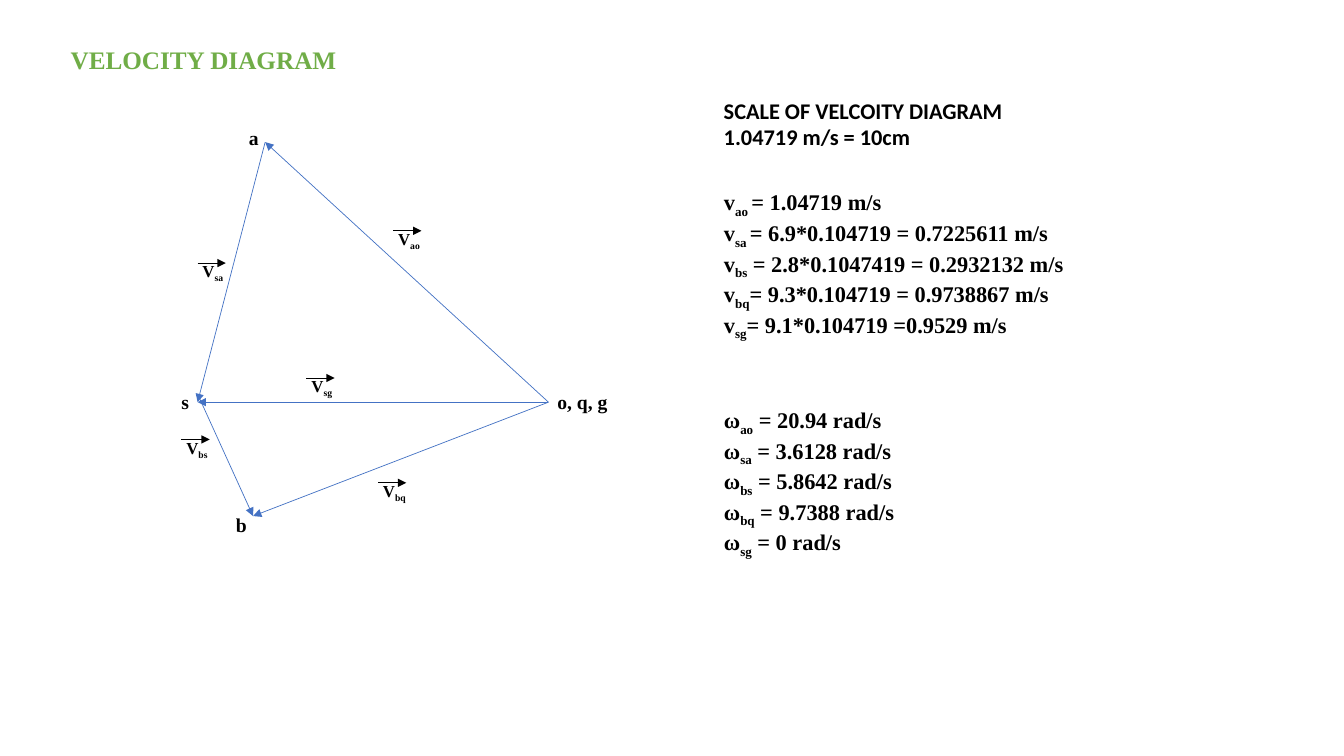
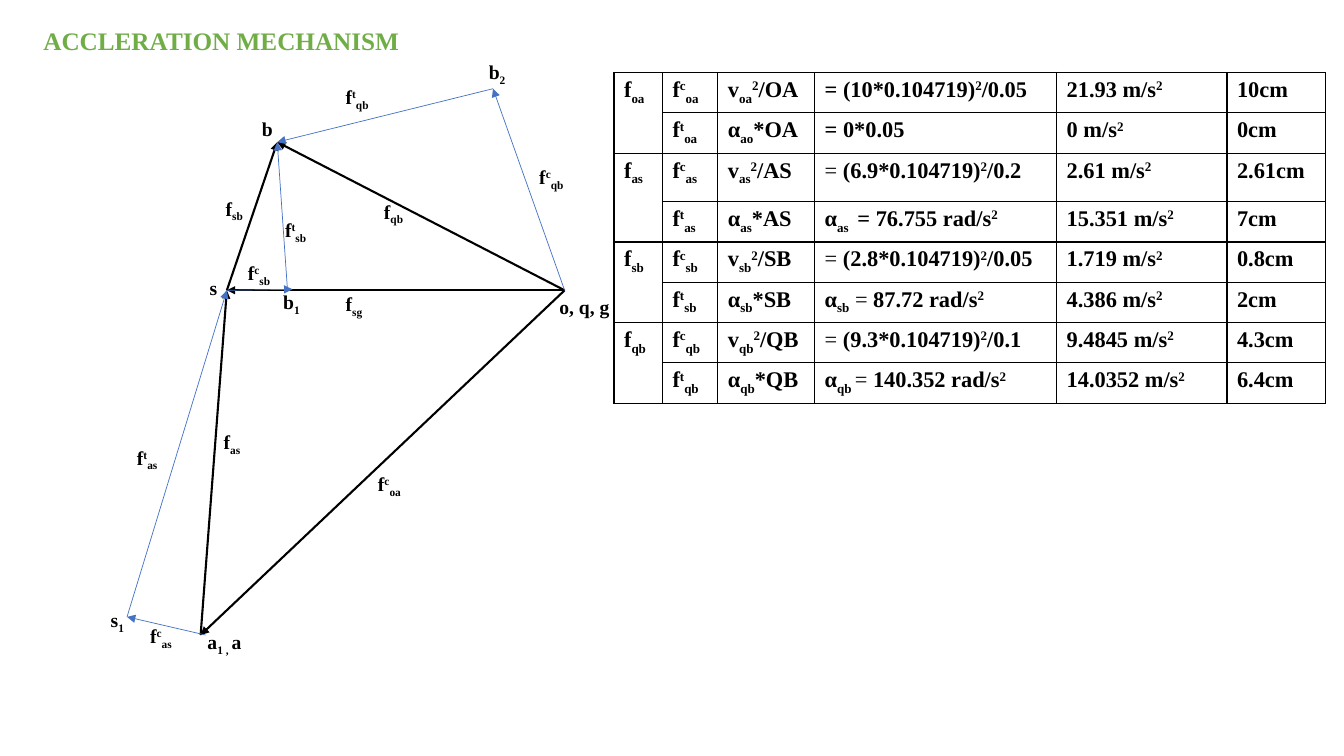
from dataclasses import dataclass

import pptx
import pptx.dml.color
import pptx.enum.shapes
import pptx.enum.text
import pptx.oxml
import pptx.oxml.ns
import pptx.util
from lxml import etree

Inches, Pt = pptx.util.Inches, pptx.util.Pt
qn = pptx.oxml.ns.qn


@dataclass(frozen=True)
class Theme:
    serif: str = "Times New Roman"
    sans: str = "Calibri"
    green: str = "70AD47"
    blue: str = "4472C4"
    black: str = "000000"
    title_size: int = 18
    body_size: int = 16
    point_size: int = 14
    vector_size: int = 12
    thin: float = 0.5
    border: float = 1
    thick: float = 1.5


THEME = Theme()

# Text markup: _{subscript}, ^{superscript}, ~{regular weight}
SCALE = ["SCALE OF VELCOITY DIAGRAM", "1.04719 m/s = 10cm"]
VELOCITIES = [
    "v_{ao }= 1.04719 m/s",
    "v_{sa }= 6.9*0.104719 = 0.7225611 m/s",
    "v_{bs} = 2.8*0.1047419 = 0.2932132 m/s",
    "v_{bq}= 9.3*0.104719 = 0.9738867 m/s",
    "v_{sg}= 9.1*0.104719 =0.9529 m/s",
]
ANGULAR_RATES = [
    "ω_{ao} = 20.94 rad/s",
    "ω_{sa} = 3.6128 rad/s",
    "ω_{bs} = 5.8642 rad/s",
    "ω_{bq} = 9.7388 rad/s",
    "ω_{sg} = 0 rad/s",
]

VELOCITY_POINTS = {
    "o": (5.44, 3.99), "a": (2.63, 1.41), "s": (1.96, 3.99),
    "s upper": (1.96, 3.91), "b": (2.51, 5.12),
}
VELOCITY_LINES = [("o", "a"), ("a", "s"), ("o", "s"), ("s upper", "b"), ("o", "b")]
VELOCITY_POINT_LABELS = [
    ("o, q, g", 5.43, 3.82), ("a", 2.37, 1.2), ("s", 1.7, 3.82), ("b", 2.24, 5.04),
]
VECTOR_LABELS = [
    ("V_{ao}", 3.85, 2.22), ("V_{sa}", 1.91, 2.54), ("V_{sg}", 2.99, 3.68),
    ("V_{bs}", 1.75, 4.29), ("V_{bq}", 3.7, 4.72),
]
OVERBAR_OFFSET, OVERBAR_LENGTH = (0.05, 0.07), 0.28

ACCELERATION_POINTS = {
    "o": (5.6, 2.88), "a": (1.99, 6.3), "a1": (2.04, 6.3), "s1": (1.26, 6.12),
    "s": (2.25, 2.88), "b": (2.75, 1.41), "b1": (2.85, 2.86),
    "b1 tip": (2.9, 2.87), "b2": (4.89, 0.88),
}
COMPONENT_LINES = [
    ("a1", "s1"), ("s1", "s"), ("o", "b2"), ("b2", "b"), ("b1", "b"), ("s", "b1 tip"),
]
RESULTANT_LINES = [("o", "a"), ("o", "s"), ("a", "s"), ("o", "b"), ("s", "b")]
ACCELERATION_LABELS = [
    ("f^{c}_{oa}", 3.65, 4.63), ("f^{c}_{as}", 1.39, 6.14), ("f_{as}", 2.12, 4.22),
    ("f^{t}_{as}", 1.26, 4.37), ("f_{sg}", 3.33, 2.85), ("f^{c}_{qb}", 5.25, 1.59),
    ("f^{t}_{qb}", 3.33, 0.79), ("f_{qb}", 3.71, 1.93), ("f^{t}_{sb}", 2.73, 2.11),
    ("f^{c}_{sb}", 2.36, 2.54), ("f_{sb}", 2.14, 1.9), ("o, q, g", 5.45, 2.88),
    ("a_{1 , }a", 1.96, 6.2), ("s_{1}", 1, 5.98), ("b", 2.5, 1.11),
    ("b_{2}", 4.75, 0.55), ("s", 1.98, 2.69), ("b_{1}", 2.71, 2.83),
]

# Link, subscript of its α, then radial and tangential (working, value, length)
LINKS = [
    ("oa", "ao", ("= (10*0.104719)^{2}/0.05", "21.93", "10cm"),
     ("= 0*0.05", "0", "0cm")),
    ("as", "as", ("~{= }(6.9*0.104719)^{2}/0.2", "2.61", "2.61cm"),
     ("α_{as } = 76.755 rad/s^{2}", "15.351", "7cm")),
    ("sb", "sb", ("~{= }(2.8*0.104719)^{2}/0.05", "1.719", "0.8cm"),
     ("α_{sb} ~{= }87.72 rad/s^{2}", "4.386", "2cm")),
    ("qb", "qb", ("~{=} (9.3*0.104719)^{2}/0.1", "9.4845", "4.3cm"),
     ("α_{qb }~{= }140.352 rad/s^{2}", "14.0352", "6.4cm")),
]
COLUMN_WIDTHS = [0.48, 0.55, 0.96, 2.4, 1.69, 0.98]
ROW_HEIGHTS = [0.4, 0.4, 0.48] + [0.4] * 5


def rgb(color):
    return pptx.dml.color.RGBColor.from_string(color)


def add_runs(paragraph, markup):
    for chunk in markup.split("}"):
        plain, brace, marked = chunk.partition("{")
        mark = plain[-1] if brace else ""
        plain = plain[:-1] if brace else plain
        if plain:
            paragraph.add_run().text = plain
        if not marked:
            continue
        run = paragraph.add_run()
        run.text = marked
        if mark == "~":
            run.font.bold = False
        else:
            baseline = {"_": "-25000", "^": "30000"}[mark]
            run._r.get_or_add_rPr().set("baseline", baseline)


def write(frame, lines, size, color=THEME.black, font=THEME.serif, plain_list=False):
    """Fill a text frame with bold marked-up lines, left aligned."""
    for index, line in enumerate(lines):
        paragraph = frame.paragraphs[0] if index == 0 else frame.add_paragraph()
        if plain_list:
            properties = paragraph._p.get_or_add_pPr()
            properties.set("marL", "0")
            properties.set("indent", "0")
            etree.SubElement(properties, qn("a:buNone"))
            paragraph.space_before = Pt(0)
        paragraph.alignment = pptx.enum.text.PP_ALIGN.LEFT
        paragraph.font.name = font
        paragraph.font.size = Pt(size)
        paragraph.font.bold = True
        paragraph.font.color.rgb = rgb(color)
        add_runs(paragraph, line)


def place(shape, left, top, width, height):
    shape.left, shape.top = Inches(left), Inches(top)
    shape.width, shape.height = Inches(width), Inches(height)
    frame = shape.text_frame
    frame.word_wrap = True
    frame.auto_size = pptx.enum.text.MSO_AUTO_SIZE.NONE
    frame.vertical_anchor = pptx.enum.text.MSO_ANCHOR.TOP
    return frame


def add_slide(presentation, layout, title, left, top):
    slide = presentation.slides.add_slide(presentation.slide_layouts[layout])
    frame = place(slide.shapes.title, left, top, 4.05, 0.4)
    write(frame, [title], THEME.title_size, THEME.green)
    return slide


def add_text(slide, lines, left, top, size, width=0.9, height=0.34, font=THEME.serif):
    shape = slide.shapes.add_textbox(0, 0, 0, 0)
    write(place(shape, left, top, width, height), lines, size, font=font)


def add_arrow(slide, start, end, color, weight):
    connector = slide.shapes.add_connector(
        pptx.enum.shapes.MSO_CONNECTOR.STRAIGHT,
        *(Inches(value) for value in (*start, *end)))
    connector.line.color.rgb = rgb(color)
    connector.line.width = Pt(weight)
    properties = connector._element.spPr
    etree.SubElement(properties.find(qn("a:ln")), qn("a:tailEnd"), type="triangle")
    etree.SubElement(properties, qn("a:effectLst"))


def add_vectors(slide, points, pairs, color, weight):
    for start, end in pairs:
        add_arrow(slide, points[start], points[end], color, weight)


def add_borders(cell):
    properties = cell._tc.get_or_add_tcPr()
    for index, side in enumerate(("a:lnL", "a:lnR", "a:lnT", "a:lnB")):
        line = etree.Element(qn(side), w=str(Pt(THEME.border)))
        fill = etree.SubElement(line, qn("a:solidFill"))
        etree.SubElement(fill, qn("a:srgbClr"), val=THEME.black)
        properties.insert(index, line)


def acceleration_rows():
    for link, alpha, radial, tangential in LINKS:
        formulas = [
            (f"f_{{{link}}}", "c", f"v_{{{link}}}^{{2}}/{link.upper()}", radial),
            ("", "t", f"α_{{{alpha}}}*{link.upper()}", tangential),
        ]
        for total, kind, formula, (working, value, length) in formulas:
            component = f"f^{{{kind}}}_{{{link}}}"
            yield total, component, formula, working, value + " m/s^{2}", length


def add_acceleration_table(slide, left, top):
    table = slide.shapes.add_table(
        len(ROW_HEIGHTS), len(COLUMN_WIDTHS), Inches(left), Inches(top),
        Inches(sum(COLUMN_WIDTHS)), Inches(sum(ROW_HEIGHTS))).table
    table.first_row = table.horz_banding = False
    for column, width in zip(table.columns, COLUMN_WIDTHS):
        column.width = Inches(width)
    for row, height in zip(table.rows, ROW_HEIGHTS):
        row.height = Inches(height)
    for row, texts in zip(table.rows, acceleration_rows()):
        for cell, text in zip(row.cells, texts):
            cell.fill.background()
            add_borders(cell)
            write(cell.text_frame, [text], THEME.body_size)
    for first in range(0, len(ROW_HEIGHTS), 2):
        table.cell(first, 0).merge(table.cell(first + 1, 0))


def build_velocity_slide(presentation):
    slide = add_slide(presentation, 3, "VELOCITY DIAGRAM", 0.6, 0.39)
    for index, lines, top in ((1, VELOCITIES, 1.82), (2, ANGULAR_RATES, 3.98)):
        frame = place(slide.placeholders[index], 7.08, top, 4.76, 1.48)
        write(frame, lines, THEME.body_size, plain_list=True)
    add_text(slide, SCALE, 7.08, 0.91, THEME.body_size, 4.37, 0.64, THEME.sans)
    add_vectors(slide, VELOCITY_POINTS, VELOCITY_LINES, THEME.blue, THEME.thin)
    for text, left, top in VELOCITY_POINT_LABELS:
        add_text(slide, [text], left, top, THEME.point_size)
    for text, left, top in VECTOR_LABELS:
        add_text(slide, [text], left, top, THEME.vector_size, height=0.3)
        x, y = left + OVERBAR_OFFSET[0], top + OVERBAR_OFFSET[1]
        add_arrow(slide, (x, y), (x + OVERBAR_LENGTH, y), THEME.black, THEME.thin)


def build_acceleration_slide(presentation):
    slide = add_slide(presentation, 5, "ACCLERATION MECHANISM", 0.33, 0.2)
    add_acceleration_table(slide, 6.09, 0.72)
    add_vectors(slide, ACCELERATION_POINTS, RESULTANT_LINES, THEME.black, THEME.thick)
    add_vectors(slide, ACCELERATION_POINTS, COMPONENT_LINES, THEME.blue, THEME.thin)
    for text, left, top in ACCELERATION_LABELS:
        add_text(slide, [text], left, top, THEME.point_size)


def main():
    presentation = pptx.Presentation()
    presentation.slide_width = Inches(13.33)
    presentation.slide_height = Inches(7.5)
    build_velocity_slide(presentation)
    build_acceleration_slide(presentation)
    presentation.save("out.pptx")


if __name__ == "__main__":
    main()
